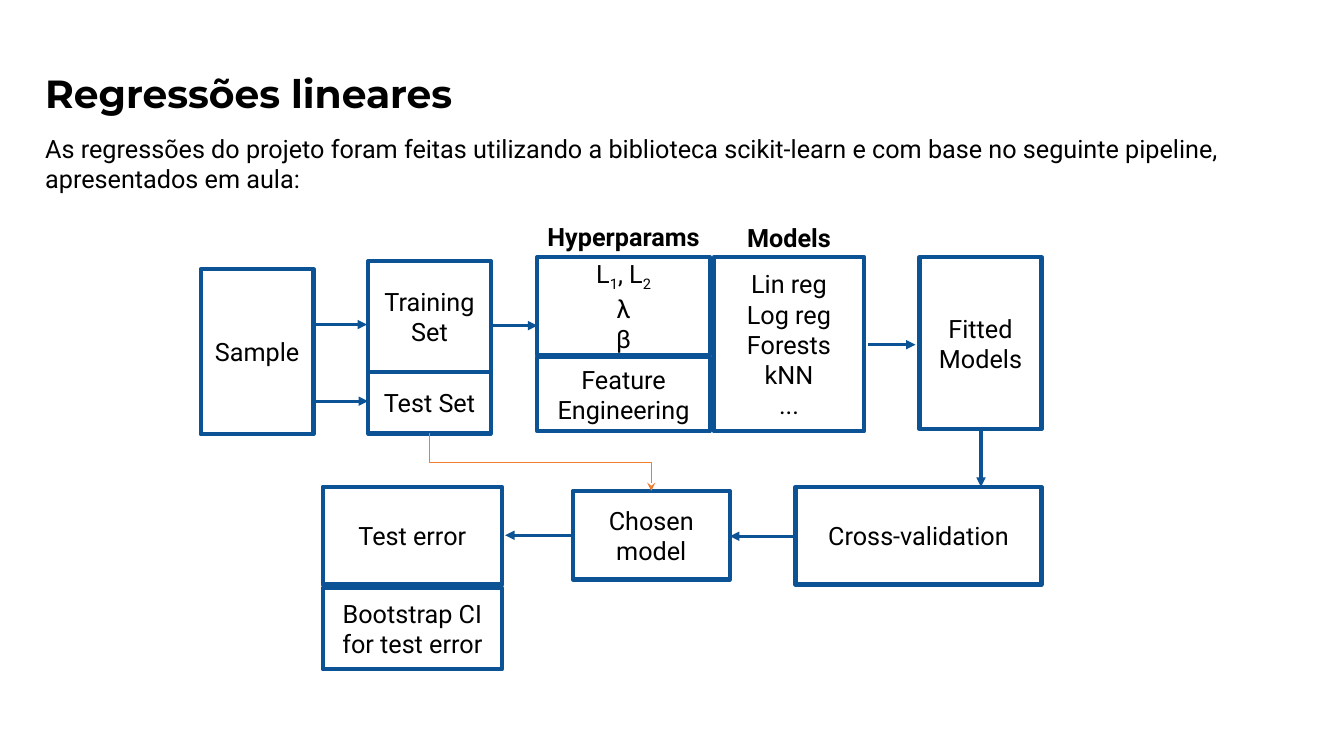
from dataclasses import dataclass

from lxml import etree
from pptx import Presentation
from pptx import util as u
from pptx.dml.color import RGBColor
from pptx.enum import shapes, text
from pptx.oxml import ns


@dataclass(frozen=True)
class Theme:
    ink: str = "000000"
    blue: str = "0B5394"
    orange: str = "ED7D31"
    heading_font: str = "Montserrat"
    body_font: str = "Roboto"
    heading_size: float = 28
    body_size: float = 18
    box_line: float = 3
    arrow_line: float = 2.25
    feedback_line: float = 0.5


def inches(*values):
    return [u.Inches(value) for value in values]


def write(frame, content, *, font, size, color, bold=False, align=None,
          anchor=text.MSO_ANCHOR.MIDDLE, inset=0.1, spacing=None):
    frame.word_wrap = True
    frame.vertical_anchor = anchor
    frame.margin_left = frame.margin_right = u.Inches(0.1)
    frame.margin_top = frame.margin_bottom = u.Inches(inset)
    for index, line in enumerate(content.split("\n")):
        para = frame.add_paragraph() if index else frame.paragraphs[0]
        para.alignment = align
        para.line_spacing = spacing
        for position, part in enumerate(line.split("_")):
            if not part:
                continue
            span = para.add_run()
            span.text = part
            span.font.name = font
            span.font.size = u.Pt(size)
            span.font.bold = bold
            span.font.color.rgb = RGBColor.from_string(color)
            if position % 2:
                span.font._element.set("baseline", "-25000")


class Sketch:
    def __init__(self, slide, theme):
        self.slide = slide
        self.theme = theme

    def body_style(self, **changes):
        theme = self.theme
        style = dict(font=theme.body_font, size=theme.body_size, color=theme.ink)
        return style | changes

    def stroke(self, line, color, width):
        line.color.rgb = RGBColor.from_string(color)
        line.width = u.Pt(width)

    def label(self, place, content, **style):
        box = self.slide.shapes.add_textbox(*inches(*place))
        write(box.text_frame, content, **self.body_style(**style))

    def box(self, place, content):
        box = self.slide.shapes.add_shape(shapes.MSO_SHAPE.RECTANGLE, *inches(*place))
        box.shadow.inherit = False
        box.fill.background()
        self.stroke(box.line, self.theme.blue, self.theme.box_line)
        etree.SubElement(box.line._get_or_add_ln(), ns.qn("a:round"))
        write(box.text_frame, content, **self.body_style(align=text.PP_ALIGN.CENTER))

    def connector(self, kind, ends, color, width, head):
        line = self.slide.shapes.add_connector(kind, *inches(*ends))
        self.stroke(line.line, color, width)
        etree.SubElement(line.line._get_or_add_ln(), ns.qn("a:tailEnd"), type=head)
        etree.SubElement(line._element.spPr, ns.qn("a:effectLst"))
        return line

    def arrow(self, *ends):
        self.connector(shapes.MSO_CONNECTOR.STRAIGHT, ends,
                       self.theme.blue, self.theme.arrow_line, "triangle")

    def down_elbow(self, x1, y1, x2, y2):
        middle_x, middle_y = (x1 + x2) / 2, (y1 + y2) / 2
        half_w, half_h = (y2 - y1) / 2, (x2 - x1) / 2
        ends = (middle_x - half_w, middle_y - half_h, middle_x + half_w, middle_y + half_h)
        line = self.connector(shapes.MSO_CONNECTOR.ELBOW, ends,
                              self.theme.orange, self.theme.feedback_line, "stealth")
        frame = line._element.spPr.find(ns.qn("a:xfrm"))
        frame.set("rot", str(270 * 60000))
        frame.set("flipH", "1")


deck = Presentation()
deck.slide_width, deck.slide_height = inches(13.33, 7.5)
theme = Theme()
page = Sketch(deck.slides.add_slide(deck.slide_layouts[6]), theme)

page.label((0.35, 0.52, 11.5, 0.86), "Regressões lineares", font=theme.heading_font,
           size=theme.heading_size, bold=True, inset=0.05, spacing=0.9)
page.label((0.35, 1.27, 11.87, 0.71),
           "As regressões do projeto foram feitas utilizando a biblioteca scikit-learn "
           "e com base no seguinte pipeline, apresentados em aula:",
           anchor=text.MSO_ANCHOR.TOP, inset=0.05)

for place, heading in [
    ((5.26, 2.13, 1.85, 0.44), "Hyperparams"),
    ((7.08, 2.13, 1.49, 0.45), "Models"),
]:
    page.label(place, heading, bold=True, align=text.PP_ALIGN.CENTER)

for place, step in [
    ((1.99, 2.67, 1.12, 1.64), "Sample"),
    ((3.65, 2.59, 1.22, 1.1), "Training Set"),
    ((3.65, 3.69, 1.22, 0.61), "Test Set"),
    ((5.33, 2.55, 1.71, 0.97), "L_1_, L_2_\nλ\nβ"),
    ((5.33, 3.54, 1.71, 0.74), "Feature Engineering"),
    ((7.08, 2.55, 1.49, 1.73), "Lin reg\nLog reg\nForests\nkNN\n..."),
    ((9.12, 2.55, 1.21, 1.71), "Fitted Models"),
    ((7.89, 4.83, 2.44, 0.97), "Cross-validation"),
    ((5.68, 4.87, 1.56, 0.88), "Chosen model"),
    ((3.2, 4.83, 1.78, 0.97), "Test error"),
    ((3.2, 5.83, 1.78, 0.81), "Bootstrap CI for test error"),
]:
    page.box(place, step)

for ends in [
    (3.13, 3.22, 3.64, 3.22),
    (3.11, 3.98, 3.65, 3.98),
    (4.86, 3.23, 5.33, 3.23),
    (8.61, 3.42, 9.08, 3.42),
    (9.73, 4.28, 9.73, 4.83),
    (7.89, 5.32, 7.24, 5.32),
    (5.68, 5.31, 5.01, 5.31),
]:
    page.arrow(*ends)
page.down_elbow(4.26, 4.3, 6.46, 4.87)

deck.save("out.pptx")
